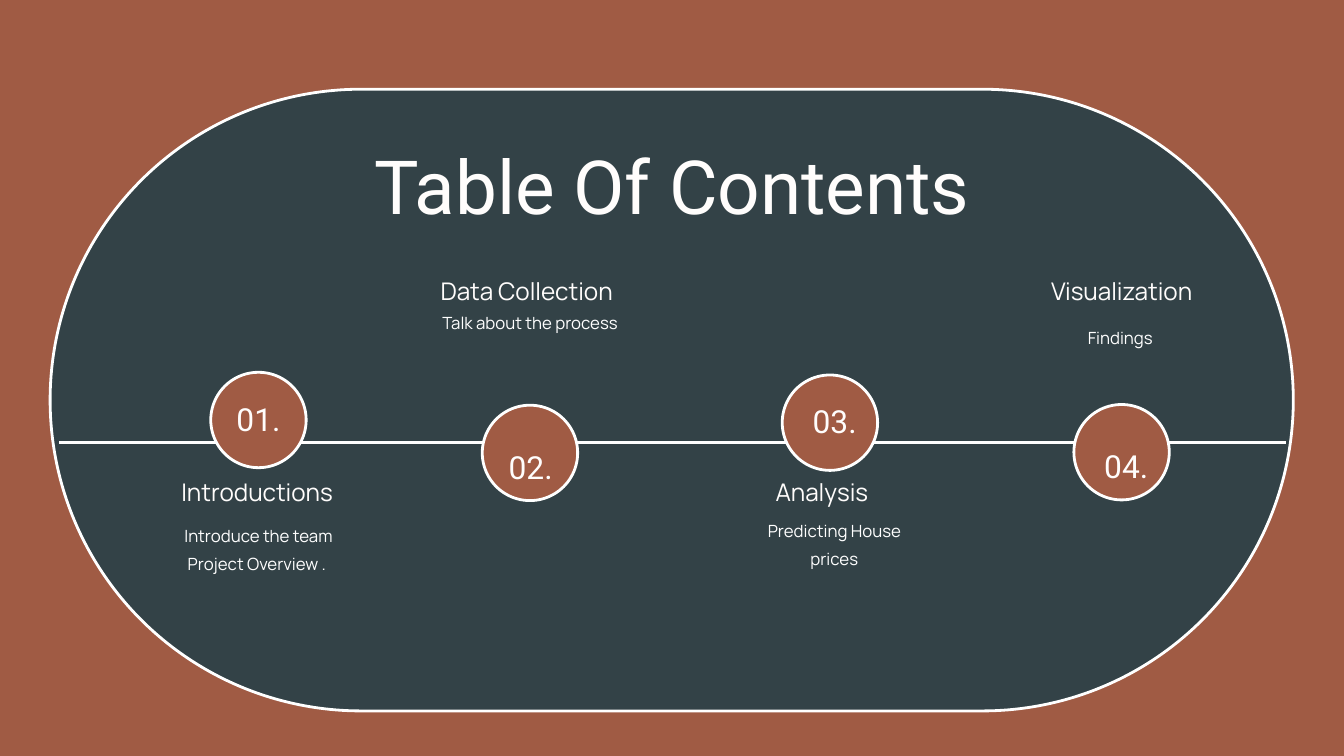
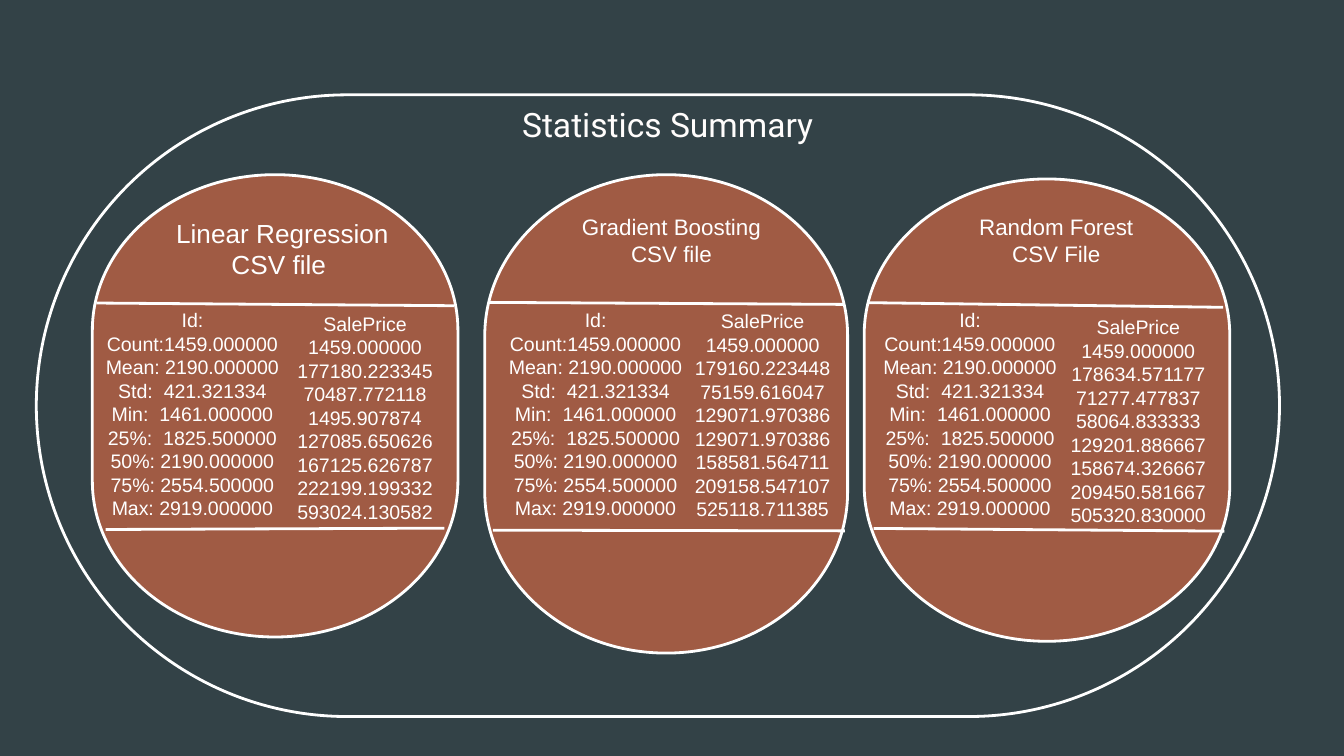
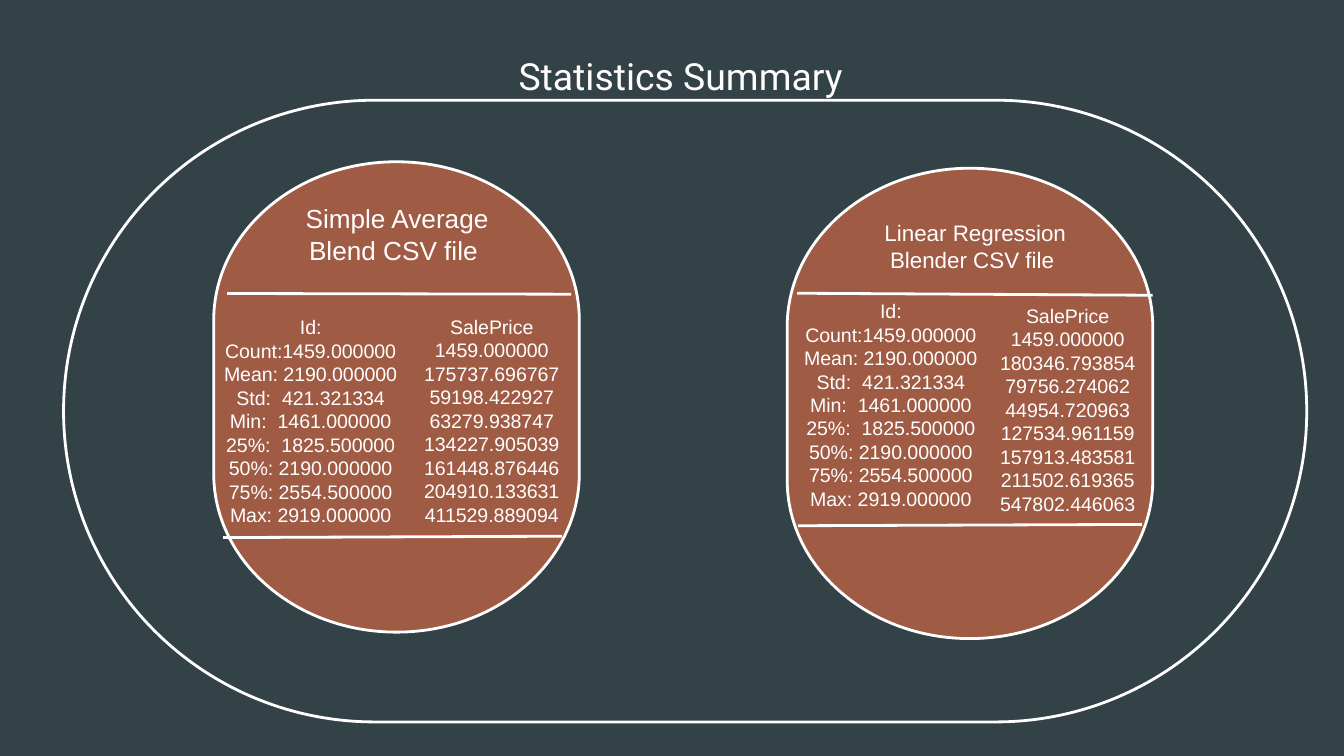
import itertools
from dataclasses import dataclass

import pptx
import pptx.dml.color
import pptx.enum.shapes
import pptx.enum.text
import pptx.oxml
import pptx.util


# Theme: colours, fonts and type sizes
@dataclass(frozen=True)
class Theme:
    clay: str = "A05B44"
    slate: str = "334247"
    white: str = "FFFFFF"
    cream: str = "FFFDFC"
    title_font: str = "Roboto"
    label_font: str = "Manrope"
    data_font: str = "Arial"
    number_size: float = 17
    label_size: float = 13
    note_size: float = 9
    data_size: float = 10.5
    line_width: float = 1.5
    title_spacing: float = 1.4
    label_spacing: float = 1.15


THEME = Theme()
TITLE_ONLY = 5
DRAWING = "http://schemas.openxmlformats.org/drawingml/2006/main"

# Grid: the slide is 100 columns wide, with square cells
COLUMNS, ROWS = 100, 56.25
SLIDE_WIDTH = pptx.util.Inches(10)
CELL = SLIDE_WIDTH / COLUMNS


def cells(count):
    return pptx.util.Emu(round(count * CELL))


@dataclass(frozen=True)
class Box:
    left: float
    top: float
    width: float
    height: float

    def inside(self, left, top, width, height):
        """Place a box relative to this one."""
        return Box(self.left + left, self.top + top, width, height)

    def lengths(self):
        return [cells(n) for n in (self.left, self.top, self.width, self.height)]


@dataclass(frozen=True)
class Stop:
    number: str
    heading: str
    note: str
    centre: float
    circle_top: float
    number_shift: tuple
    heading_shift: float
    heading_top: float
    note_shift: float
    note_top: float
    note_width: float = 12.3


@dataclass(frozen=True)
class Card:
    box: Box
    heading: str
    heading_size: float
    heading_place: tuple
    top_rule: tuple
    bottom_rule: tuple
    id_place: tuple
    price_place: tuple
    prices: str


# A bar in a line stands for a space of double width
ID_STATISTICS = [
    "Id:", "Count:1459.000000", "Mean: 2190.000000", "Std:|421.321334",
    "Min:|1461.000000", "25%:|1825.500000", "50%: 2190.000000",
    "75%: 2554.500000", "Max: 2919.000000",
]

# Vertical places are measured from the timeline
STOPS = [
    Stop("01.", "Introductions", "Introduce the team Project Overview . ",
         15.5, -5.2, (0, 0.9), -0.1, 2.3, 0, 5.6),
    Stop("02.", "Data Collection", "Talk about the process",
         35.7, -2.75, (0.05, 2.05), -0.25, -12.7, 0, -10.2, 15.2),
    Stop("03.", "Analysis ", "Predicting House prices",
         58.02, -5, (0.35, 0.85), -0.42, 2.3, 0.33, 5.22),
    Stop("04.", "Visualization", "Findings ",
         79.72, -2.8, (0.35, 2), 0, -12.7, 0.03, -9.1),
]

# Places are measured from the top left of each card
MODEL_CARDS = [
    Card(Box(6.87, 13, 27.2, 34.4), "Linear Regression CSV file ", 14, (4.5, 2.65, 19.3),
         (0.3, 9.55, 26.9, 9.75), (1, 26.4, 26.2, 26.3), (-0.1, 9.43, 15.1), (14, 9.7, 12.6),
         "1459.000000 177180.223345 70487.772118 1495.907874 127085.650626 "
         "167125.626787 222199.199332 593024.130582"),
    Card(Box(36.07, 13, 27, 35.6), "Gradient Boosting CSV file", 12, (5.1, 2.35, 17.6),
         (0.4, 9.5, 26.8, 9.65), (0.6, 26.45, 26.8, 26.5), (0.1, 9.43, 16.3),
         (14.38, 9.5, 12.6),
         "1459.000000 179160.223448 75159.616047 129071.970386 129071.970386 "
         "158581.564711 209158.547107 525118.711385"),
    Card(Box(64.3, 13.32, 27.2, 34.4), "Random Forest\n CSV File ", 12, (5.5, 2.03, 17.6),
         (0.3, 9.2, 26.7, 9.55), (0.7, 26, 26.8, 26.2), (-0.27, 9.13, 16.3),
         (14.1, 9.63, 12.6),
         "1459.000000 178634.571177 71277.477837 58064.833333 129201.886667 "
         "158674.326667 209450.581667 505320.830000"),
]
BLEND_CARDS = [
    Card(Box(15.9, 12.04, 27.2, 35), "Simple Average Blend CSV file ", 14, (4, 2.56, 19.3),
         (1, 9.8, 26.6, 9.85), (0.7, 27.96, 25.9, 27.86), (-0.33, 10.93, 15.1),
         (14.4, 10.9, 12.6),
         "1459.000000 175737.696767 59198.422927 63279.938747 134227.905039 "
         "161448.876446 204910.133631 411529.889094"),
    Card(Box(58.57, 12.52, 27.2, 35), "Linear Regression Blender CSV file ", 12,
         (5.2, 3.28, 17.6), (0.75, 9.3, 27.2, 9.45), (0.8, 26.6, 26.4, 26.5),
         (-0.43, 9.23, 16.3), (14.58, 9.6, 12.6),
         "1459.000000 180346.793854 79756.274062 44954.720963 127534.961159 "
         "157913.483581 211502.619365 547802.446063"),
]


# Shared parts
def rgb(colour):
    return pptx.dml.color.RGBColor.from_string(colour)


def add_line_of_text(paragraph, line, font, size, colour):
    label, bar, value = line.partition("|")
    for text in filter(None, (label, bar, value)):
        run = paragraph.add_run()
        run.text = " " if text == "|" else text
        run.font.name = font
        run.font.size = pptx.util.Pt(size)
        run.font.color.rgb = rgb(colour)
        if text == "|":
            # A space is 0.28 em wide; letter spacing counts in 1/100 pt
            run.font._element.set("spc", str(round(size * 28)))


def write(frame, lines, font, size, colour, spacing=None, margins=(0, 0)):
    frame.word_wrap = True
    frame.vertical_anchor = pptx.enum.text.MSO_ANCHOR.TOP
    frame.margin_left = frame.margin_right = cells(margins[0])
    frame.margin_top = frame.margin_bottom = cells(margins[1])
    for index, line in enumerate(lines):
        paragraph = frame.add_paragraph() if index else frame.paragraphs[0]
        paragraph.alignment = pptx.enum.text.PP_ALIGN.CENTER
        if spacing:
            paragraph.line_spacing = spacing
        add_line_of_text(paragraph, line, font, size, colour)


def add_text(slide, box, lines, *style, **options):
    shape = slide.shapes.add_textbox(*box.lengths())
    write(shape.text_frame, lines, *style, **options)


def style_outline(shape, fill=None):
    shape.shadow.inherit = False
    if fill:
        shape.fill.solid()
        shape.fill.fore_color.rgb = rgb(fill)
    else:
        shape.fill.background()
    shape.line.color.rgb = rgb(THEME.white)
    shape.line.width = pptx.util.Pt(THEME.line_width)


def add_rule(slide, box, left, top, right, bottom):
    """Draw a line between two points relative to the box."""
    connector = slide.shapes.add_connector(
        pptx.enum.shapes.MSO_CONNECTOR.STRAIGHT,
        cells(box.left + left), cells(box.top + top),
        cells(box.left + right), cells(box.top + bottom))
    connector.line.color.rgb = rgb(THEME.white)
    connector.line.width = pptx.util.Pt(THEME.line_width)
    connector._element.spPr.append(
        pptx.oxml.parse_xml(f'<a:effectLst xmlns:a="{DRAWING}"/>'))


def add_framed_slide(presentation, background, panel, panel_fill, title, title_box, title_size):
    slide = presentation.slides.add_slide(presentation.slide_layouts[TITLE_ONLY])
    slide.background.fill.solid()
    slide.background.fill.fore_color.rgb = rgb(background)

    # Title
    shape = slide.shapes.title
    shape.left, shape.top, shape.width, shape.height = title_box.lengths()
    shape.text_frame.auto_size = pptx.enum.text.MSO_AUTO_SIZE.NONE
    write(shape.text_frame, [title], THEME.title_font, title_size, THEME.cream,
          THEME.title_spacing)

    # Pill-shaped panel, behind the title
    pill = slide.shapes.add_shape(
        pptx.enum.shapes.MSO_SHAPE.ROUNDED_RECTANGLE, *panel.lengths())
    pill.adjustments[0] = 0.5
    style_outline(pill, panel_fill)
    shape._element.addprevious(pill._element)
    return slide


# Contents: one numbered stop on the timeline
def add_stop(slide, timeline, stop):
    diameter, number_width, heading_width = 7.1, 5.1, 18.4
    circle_box = timeline.inside(
        stop.centre - diameter / 2, stop.circle_top, diameter, diameter)
    circle = slide.shapes.add_shape(
        pptx.enum.shapes.MSO_SHAPE.OVAL, *circle_box.lengths())
    style_outline(circle, THEME.clay)

    shift, drop = stop.number_shift
    add_text(slide, circle_box.inside((diameter - number_width) / 2 + shift, drop,
                                      number_width, 3),
             [stop.number], THEME.title_font, THEME.number_size, THEME.cream,
             THEME.title_spacing)
    add_text(slide, timeline.inside(stop.centre - heading_width / 2 + stop.heading_shift,
                                    stop.heading_top, heading_width, 2.5),
             [stop.heading], THEME.label_font, THEME.label_size, THEME.cream,
             THEME.label_spacing)
    add_text(slide, timeline.inside(stop.centre - stop.note_width / 2 + stop.note_shift,
                                    stop.note_top, stop.note_width, 3.6),
             [stop.note], THEME.label_font, THEME.note_size, THEME.white,
             THEME.title_spacing)


def build_contents(presentation):
    panel = Box(3.73, 6.64, 92.5, 46.26)
    slide = add_framed_slide(presentation, THEME.clay, panel, THEME.slate,
                             "Table Of Contents", Box(22.1, 7.74, 55.8, 7.5), 40)
    timeline = panel.inside(0, 26.26, panel.width, 0)
    add_rule(slide, timeline, 0.67, 0, 91.97, 0)
    for stop in STOPS:
        add_stop(slide, timeline, stop)


# Statistics: a card with elliptical ends
def add_capsule(slide, box):
    left, top, width, height = box.lengths()
    middle, end = width // 2, round(height * 0.337)
    corners = [(0, end), (middle, 0), (width, end),
               (width, height - end), (middle, height), (0, height - end)]
    builder = slide.shapes.build_freeform(left, top + end)
    builder.add_line_segments([(left + x, top + y) for x, y in corners[1:]], close=True)
    shape = builder.convert_to_shape()

    # Turn the four sloping sides into quarter ellipses
    sides = shape._element.findall(f".//{{{DRAWING}}}lnTo")
    for side, (start, finish) in zip(sides, itertools.pairwise(corners)):
        if start[0] == finish[0]:
            continue
        bend = (start[0], finish[1]) if start[0] in (0, width) else (finish[0], start[1])
        controls = [[round(a + (b - a) * 0.5523) for a, b in zip(point, bend)]
                    for point in (start, finish)]
        points = "".join(f'<a:pt x="{x}" y="{y}"/>' for x, y in [*controls, finish])
        curve = pptx.oxml.parse_xml(
            f'<a:cubicBezTo xmlns:a="{DRAWING}">{points}</a:cubicBezTo>')
        side.getparent().replace(side, curve)
    style_outline(shape, THEME.clay)


def add_card(slide, card):
    add_capsule(slide, card.box)
    add_rule(slide, card.box, *card.top_rule)
    add_rule(slide, card.box, *card.bottom_rule)
    texts = [
        (card.heading_place, 5, card.heading.split("\n"), card.heading_size),
        (card.id_place, 16.9, ID_STATISTICS, THEME.data_size),
        (card.price_place, 16.9, ["SalePrice", *card.prices.split()], THEME.data_size),
    ]
    for place, height, lines, size in texts:
        add_text(slide, card.box.inside(*place, height), lines,
                 THEME.data_font, size, THEME.white, margins=(1, 0.5))


def build_statistics(presentation, panel, title_box, title_size, cards):
    slide = add_framed_slide(presentation, THEME.slate, panel, None,
                             "Statistics Summary ", title_box, title_size)
    for card in cards:
        add_card(slide, card)


def main():
    presentation = pptx.Presentation()
    presentation.slide_width = SLIDE_WIDTH
    presentation.slide_height = cells(ROWS)
    build_contents(presentation)
    build_statistics(presentation, Box(2.7, 7.06, 92.5, 46.26),
                     Box(5.6, 6.55, 88.8, 4.2), 18, MODEL_CARDS)
    build_statistics(presentation, Box(4.73, 7.46, 92.5, 46.26),
                     Box(6.6, 2.6, 88.8, 4.7), 20, BLEND_CARDS)
    presentation.save("out.pptx")


if __name__ == "__main__":
    main()
